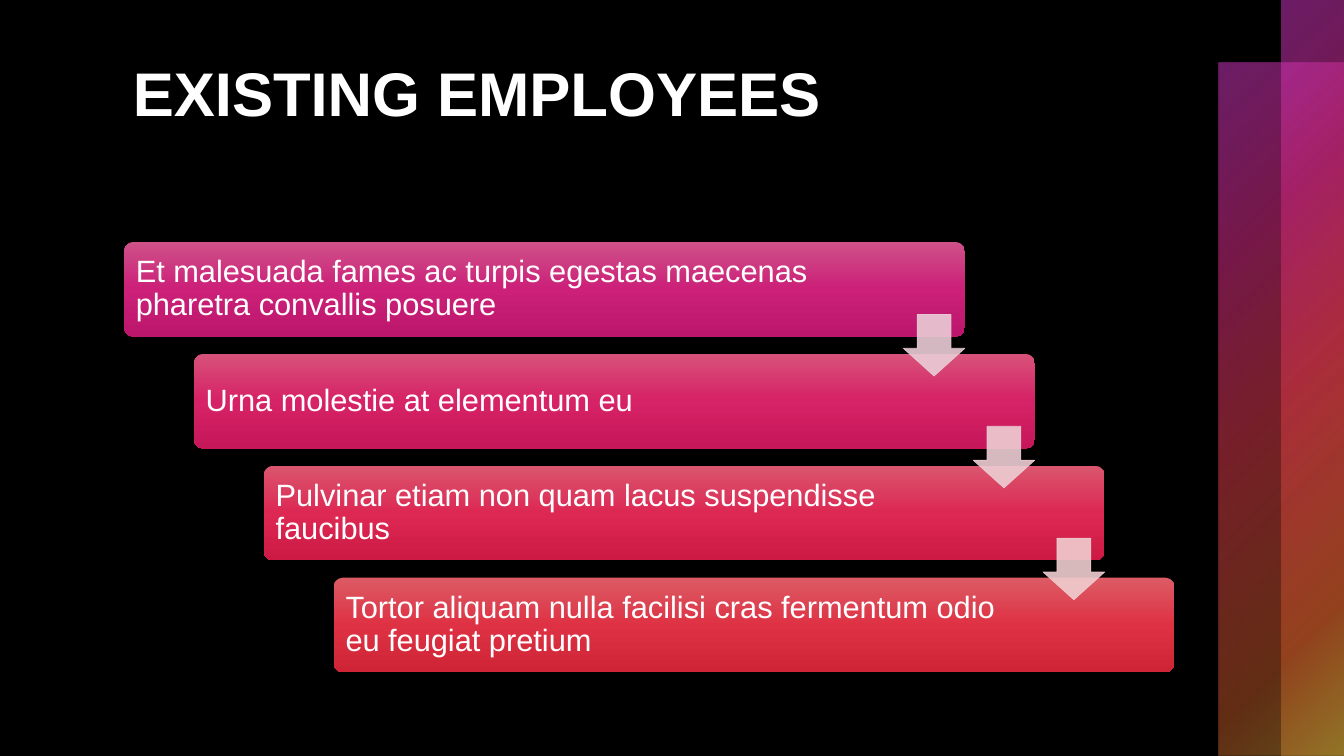
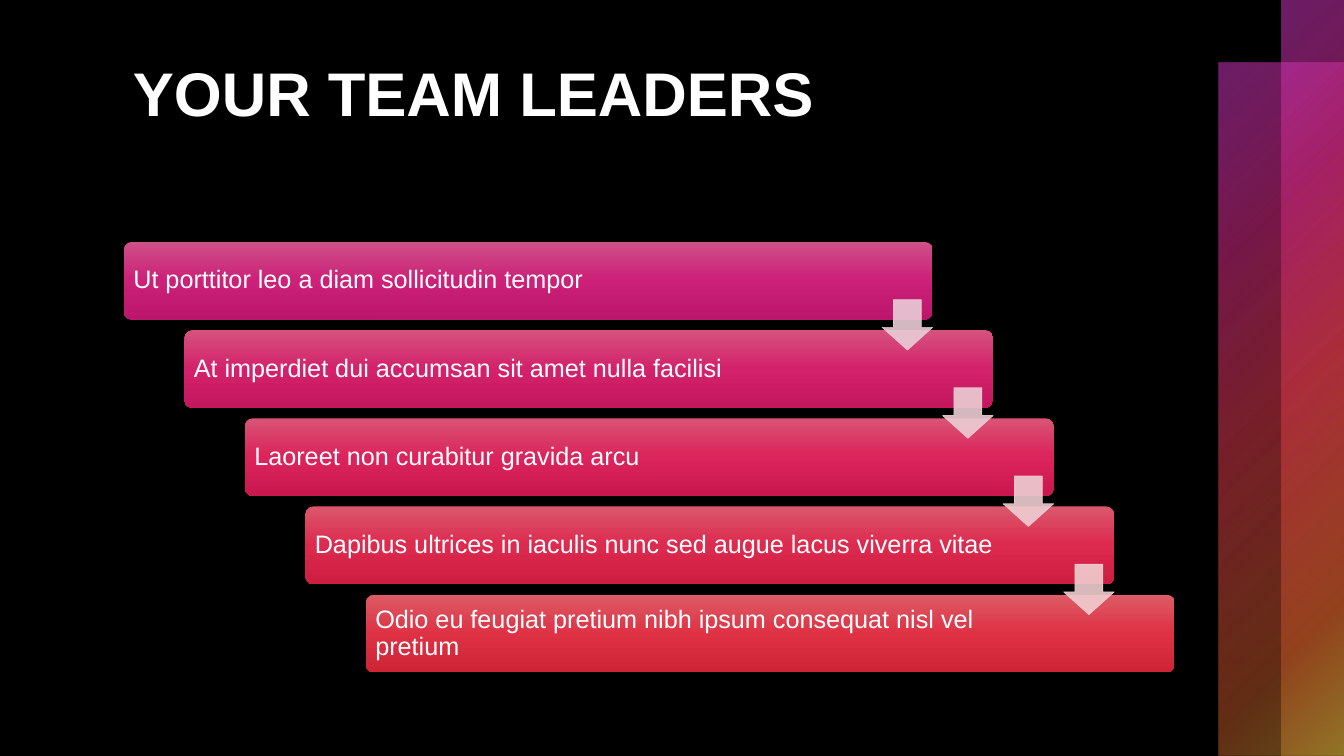
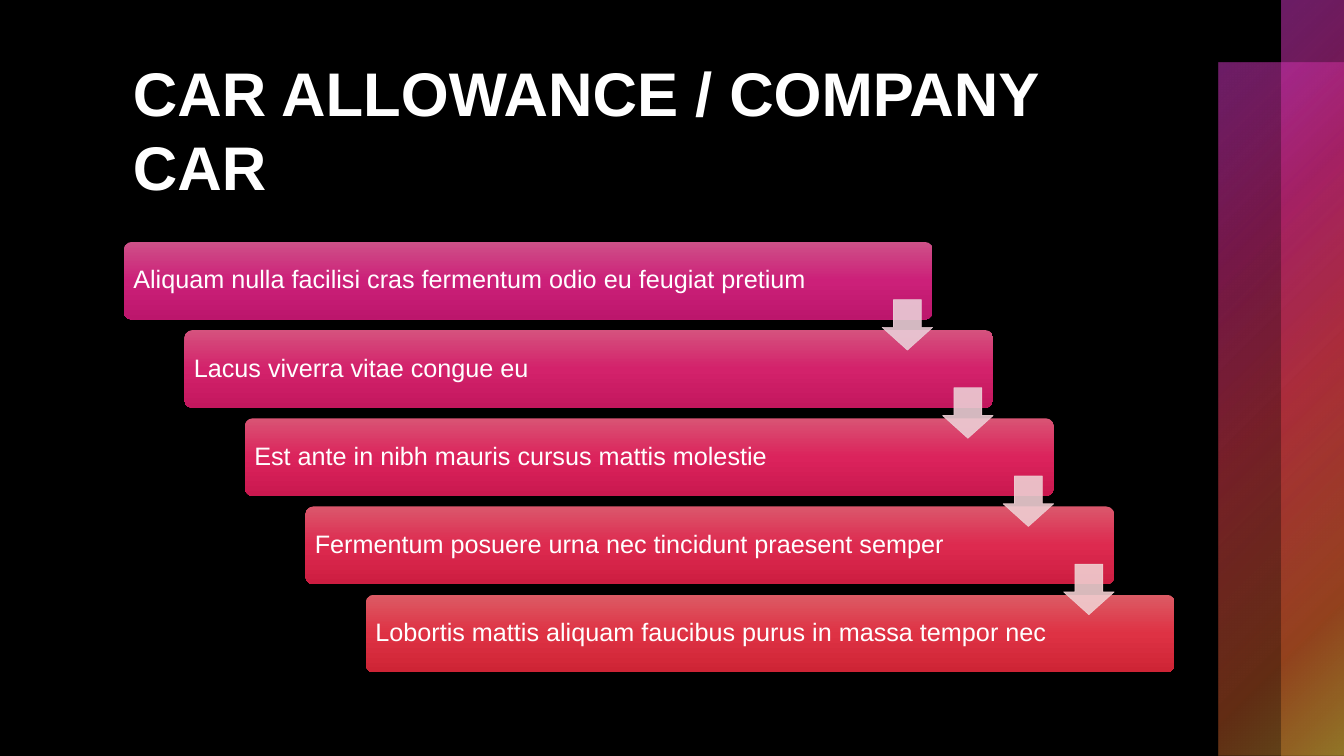
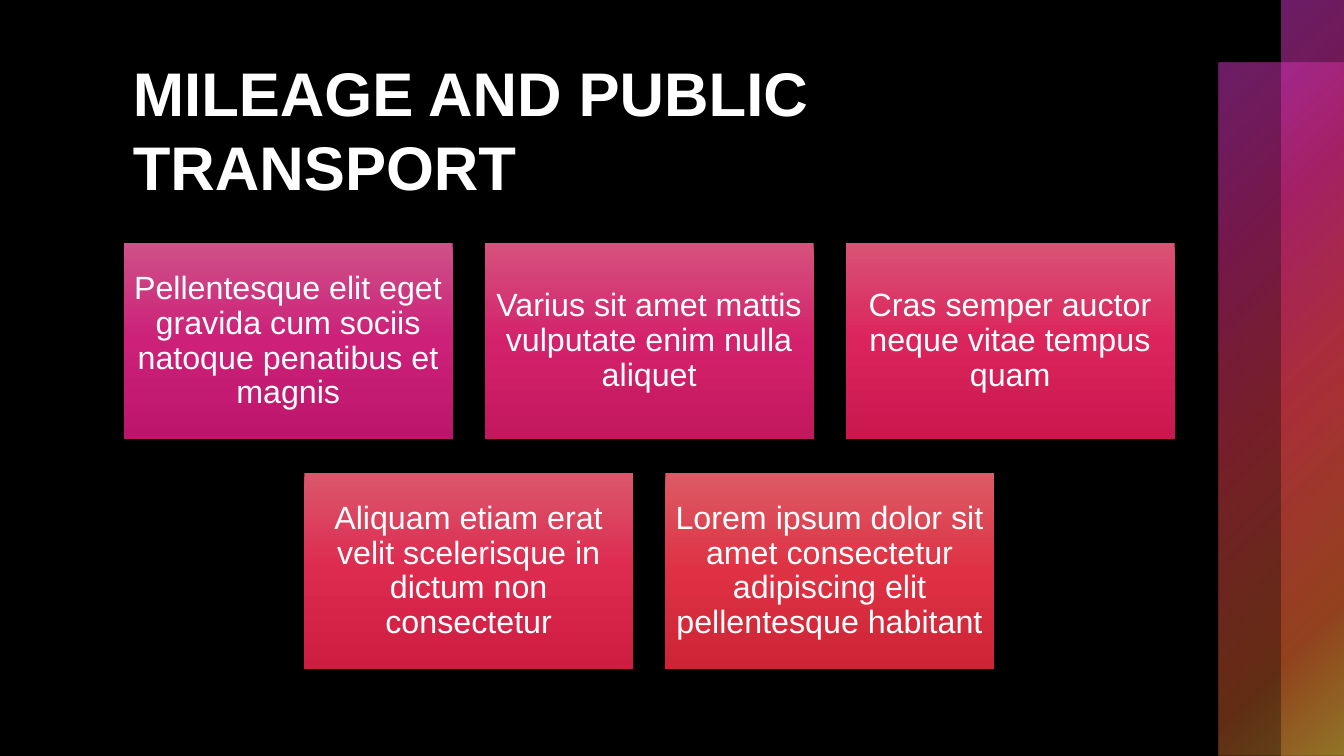
import lxml.etree
import pptx
import pptx.dml.color
import pptx.enum.shapes
import pptx.enum.text
import pptx.oxml.ns
import pptx.util

Inches = pptx.util.Inches
Shapes = pptx.enum.shapes.MSO_SHAPE
Align = pptx.enum.text.PP_ALIGN
Anchor = pptx.enum.text.MSO_ANCHOR
qn = pptx.oxml.ns.qn

theme = {
    "background": "000000",
    "text": "FFFFFF",
    "font": "Arial",
    "title_size": 44,
    "card_size": 23,
    "band": [(0, "D63ACC", 50), (25, "C42879", 60), (50, "D63A4A", 55),
             (81, "C45928", 50), (99, "C39D35", 50)],
    "ramps": {
        4: [("CE5188", "CC2079", "BC166C"), ("D7527A", "D62266", "C51759"),
            ("DA566E", "DC2853", "CD1A45"), ("DC5B65", "DE3244", "CE2435")],
        5: [("CE5188", "CC2079", "BC166C"), ("D5527E", "D3226B", "C3175E"),
            ("D95474", "DB235C", "CA184F"), ("DB576C", "DD2A4F", "CD1D41"),
            ("DC5B65", "DE3244", "CE2435")],
    },
    "arrows": {
        4: ["EACDD7", "EDCED3", "F0CED0"],
        5: ["EACDD7", "ECCDD4", "EECED2", "F0CED0"],
    },
}

step_styles = {
    4: {"width": 8.34, "height": 0.94, "size": 22, "inset": 0.09, "rights": [1.12, 1.4]},
    5: {"width": 8.02, "height": 0.77, "size": 18, "inset": 0.07, "rights": [0.94, 1.17]},
}

staircases = [
    ("EXISTING EMPLOYEES", [
        "Et malesuada fames ac turpis egestas maecenas pharetra convallis posuere",
        "Urna molestie at elementum eu",
        "Pulvinar etiam non quam lacus suspendisse faucibus",
        "Tortor aliquam nulla facilisi cras fermentum odio eu feugiat pretium",
    ]),
    ("YOUR TEAM LEADERS", [
        "Ut porttitor leo a diam sollicitudin tempor",
        "At imperdiet dui accumsan sit amet nulla facilisi",
        "Laoreet non curabitur gravida arcu",
        "Dapibus ultrices in iaculis nunc sed augue lacus viverra vitae",
        "Odio eu feugiat pretium nibh ipsum consequat nisl vel pretium",
    ]),
    ("CAR ALLOWANCE / COMPANY CAR", [
        "Aliquam nulla facilisi cras fermentum odio eu feugiat pretium",
        "Lacus viverra vitae congue eu",
        "Est ante in nibh mauris cursus mattis molestie",
        "Fermentum posuere urna nec tincidunt praesent semper",
        "Lobortis mattis aliquam faucibus purus in massa tempor nec",
    ]),
]

cards_title = "MILEAGE AND PUBLIC TRANSPORT"
card_rows = [
    ["Pellentesque elit eget gravida cum sociis natoque penatibus et magnis",
     "Varius sit amet mattis vulputate enim nulla aliquet",
     "Cras semper auctor neque vitae tempus quam"],
    ["Aliquam etiam erat velit scelerisque in dictum non consectetur",
     "Lorem ipsum dolor sit amet consectetur adipiscing elit pellentesque habitant"],
]

content_left, content_top, content_width, content_height = 1.23, 2.4, 10.42, 4.27


def add_gradient_shape(slide, kind, box, stops, radial=False):
    shape = slide.shapes.add_shape(kind, *[Inches(value) for value in box])
    shape.shadow.inherit = False
    shape.line.fill.background()
    gradient = lxml.etree.Element(qn("a:gradFill"), rotWithShape="1")
    stop_list = lxml.etree.SubElement(gradient, qn("a:gsLst"))
    for position, color, opacity in stops:
        stop = lxml.etree.SubElement(stop_list, qn("a:gs"), pos=str(position * 1000))
        stop_color = lxml.etree.SubElement(stop, qn("a:srgbClr"), val=color)
        if opacity < 100:
            lxml.etree.SubElement(stop_color, qn("a:alpha"), val=str(opacity * 1000))
    if radial:
        circle = lxml.etree.SubElement(gradient, qn("a:path"), path="circle")
        lxml.etree.SubElement(circle, qn("a:fillToRect"), l="0", t="0", r="100000", b="100000")
    else:
        lxml.etree.SubElement(gradient, qn("a:lin"), ang="5400000", scaled="0")
    shape.element.spPr.find(qn("a:prstGeom")).addnext(gradient)
    return shape


def write_text(shape, text, size, bold=False, paragraph_format=None, **frame_format):
    frame = shape.text_frame
    paragraph = frame.paragraphs[0]
    paragraph.text = text
    formats = [
        (frame, {"word_wrap": True, **frame_format}),
        (paragraph, {"alignment": Align.LEFT, **(paragraph_format or {})}),
        (paragraph.font, {"name": theme["font"], "size": pptx.util.Pt(size), "bold": bold}),
    ]
    for target, values in formats:
        for name, value in values.items():
            setattr(target, name, value)
    paragraph.font.color.rgb = pptx.dml.color.RGBColor.from_string(theme["text"])


presentation = pptx.Presentation()
presentation.slide_width = Inches(13.33)
presentation.slide_height = Inches(7.5)
background = presentation.slide_master.background.fill
background.solid()
background.fore_color.rgb = pptx.dml.color.RGBColor.from_string(theme["background"])

slides = []
for title in [title for title, steps in staircases] + [cards_title]:
    slide = presentation.slides.add_slide(presentation.slide_layouts[6])
    for box in [(12.09, 0.62, 1.24, 6.88), (12.71, 0, 0.62, 7.5)]:
        add_gradient_shape(slide, Shapes.RECTANGLE, box, theme["band"], radial=True)
    title_box = slide.shapes.add_textbox(Inches(1.22), Inches(0.5), Inches(10.37), Inches(1.7))
    write_text(title_box, title, theme["title_size"], bold=True)
    slides.append(slide)

for slide, (title, steps) in zip(slides, staircases):
    count = len(steps)
    style = step_styles[count]
    width, height = style["width"], style["height"]
    shift = (content_width - width) / (count - 1)
    drop = (content_height - height) / (count - 1)
    inset = Inches(style["inset"])
    for index, text in enumerate(steps):
        box = (content_left + index * shift, content_top + index * drop, width, height)
        stops = [(at, color, 100) for at, color in zip((0, 50, 100), theme["ramps"][count][index])]
        step = add_gradient_shape(slide, Shapes.ROUNDED_RECTANGLE, box, stops)
        step.adjustments[0] = 0.1
        write_text(step, text, style["size"], paragraph_format={"line_spacing": 0.9},
                   vertical_anchor=Anchor.MIDDLE, margin_left=inset, margin_top=inset,
                   margin_bottom=inset, margin_right=Inches(style["rights"][min(index, 1)]))

    arrow_size = 0.65 * height
    for index, color in enumerate(theme["arrows"][count]):
        left = content_left + index * shift + width - arrow_size
        top = content_top + index * drop + (height + drop - arrow_size) / 2
        arrow = slide.shapes.add_shape(Shapes.DOWN_ARROW, Inches(left), Inches(top),
                                       Inches(arrow_size), Inches(arrow_size))
        arrow.shadow.inherit = False
        arrow.adjustments[0] = 0.55
        arrow.adjustments[1] = 0.45
        arrow.line.width = pptx.util.Pt(0.5)
        for fill in (arrow.fill, arrow.line.fill):
            fill.solid()
            fill.fore_color.rgb = pptx.dml.color.RGBColor.from_string(color)
        for color_element in arrow.element.spPr.iter(qn("a:srgbClr")):
            lxml.etree.SubElement(color_element, qn("a:alpha"), val="90000")

card_width, card_height, card_gap = 3.26, 1.95, 0.32
card_ramps = iter(theme["ramps"][5])
card_inset = Inches(0.1)
for row_index, row in enumerate(card_rows):
    row_width = len(row) * (card_width + card_gap) - card_gap
    row_left = content_left + (content_width - row_width) / 2
    for column, text in enumerate(row):
        box = (row_left + column * (card_width + card_gap),
               2.41 + row_index * 2.28, card_width, card_height)
        stops = [(at, color, 100) for at, color in zip((0, 50, 100), next(card_ramps))]
        card = add_gradient_shape(slides[-1], Shapes.RECTANGLE, box, stops)
        write_text(card, text, theme["card_size"],
                   paragraph_format={"alignment": Align.CENTER, "line_spacing": 0.9},
                   vertical_anchor=Anchor.MIDDLE, margin_left=card_inset, margin_top=card_inset,
                   margin_right=card_inset, margin_bottom=card_inset)

presentation.save("out.pptx")
